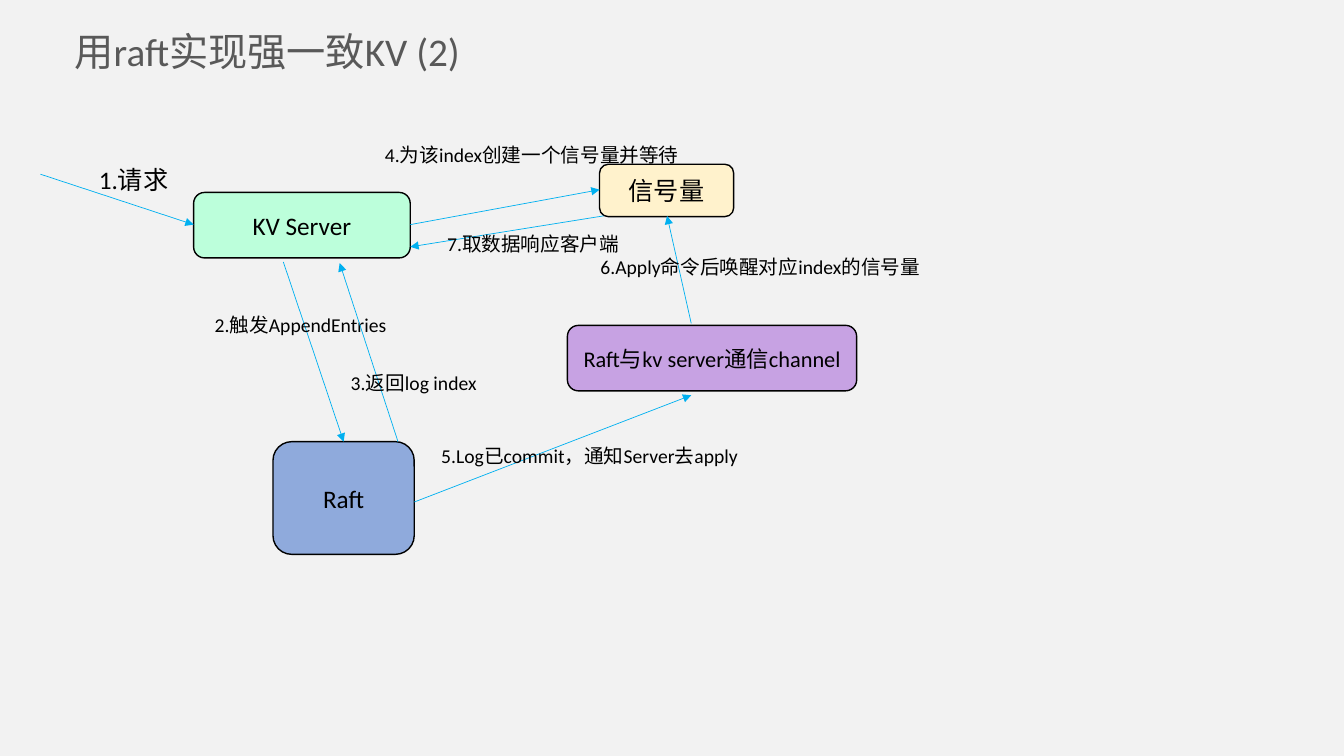
import pptx
import pptx.dml.color
import pptx.enum.shapes
import pptx.enum.text
import pptx.oxml
import pptx.oxml.ns
import pptx.util
from pptx.util import Cm

COLORS = {
    "background": "F2F2F2",
    "title": "595959",
    "text": "000000",
    "arrow": "00B0F0",
    "server": "BCFFDB",
    "raft": "8FAADC",
    "semaphore": "FFF2CC",
    "channel": "C7A2E3",
}


def rgb(name):
    return pptx.dml.color.RGBColor.from_string(COLORS[name])


class Diagram:
    """Holds the slide and the shared style of its elements."""

    def __init__(self, slide, font="Calibri"):
        self.s = slide
        self.font = font
        fill = slide.background.fill
        fill.solid()
        fill.fore_color.rgb = rgb("background")

    def set_text(self, tf, text, size, color="text"):
        tf.word_wrap = True
        p = tf.paragraphs[0]
        p.text = text
        p.font.name = self.font
        p.font.size = pptx.util.Pt(size)
        p.font.color.rgb = rgb(color)
        return p

    def label(self, x, y, w, h, text, size, color="text"):
        tf = self.s.shapes.add_textbox(Cm(x), Cm(y), Cm(w), Cm(h)).text_frame
        return self.set_text(tf, text, size, color)

    def title(self, x, y, w, h, text):
        p = self.label(x, y, w, h, text, 28, "title")
        p.line_spacing = 0.9

    def node(self, x, y, w, h, text, fill, size=18):
        kind = pptx.enum.shapes.MSO_SHAPE.ROUNDED_RECTANGLE
        sp = self.s.shapes.add_shape(kind, Cm(x), Cm(y), Cm(w), Cm(h))
        sp.shadow.inherit = False
        sp.fill.solid()
        sp.fill.fore_color.rgb = rgb(fill)
        sp.line.color.rgb = rgb("text")
        sp.line.width = pptx.util.Pt(1)
        sp.text_frame.vertical_anchor = pptx.enum.text.MSO_ANCHOR.MIDDLE
        p = self.set_text(sp.text_frame, text, size)
        p.alignment = pptx.enum.text.PP_ALIGN.CENTER

    def arrow(self, start, end):
        kind = pptx.enum.shapes.MSO_CONNECTOR.STRAIGHT
        c = self.s.shapes.add_connector(kind, *map(Cm, start + end))
        c.line.color.rgb = rgb("arrow")
        c.line.width = pptx.util.Pt(0.5)
        ns = pptx.oxml.ns.nsdecls("a")
        ln = c.get_or_add_ln()
        ln.append(pptx.oxml.parse_xml(f'<a:tailEnd {ns} type="triangle"/>'))
        ln.addnext(pptx.oxml.parse_xml(f"<a:effectLst {ns}/>"))


def main():
    prs = pptx.Presentation()
    prs.slide_width, prs.slide_height = Cm(33.87), Cm(19.05)
    d = Diagram(prs.slides.add_slide(prs.slide_layouts[6]))

    d.title(1.63, 0.69, 31.39, 1.68, "用raft实现强一致KV (2)")

    # Components
    d.node(4.88, 4.85, 5.46, 1.65, "KV Server", "server")
    d.node(6.88, 11.13, 3.56, 2.84, "Raft", "raft")
    d.node(15.11, 4.14, 3.38, 1.32, "信号量", "semaphore")
    d.node(14.3, 8.2, 7.29, 1.65, "Raft与kv server通信channel", "channel", 16)

    # Steps: arrow start, arrow end, label left, top and width, text, size
    steps = [
        ((1.02, 4.39), (4.88, 5.66), 2.24, 4.01, 2.31, "1.请求", 18),
        ((7.14, 6.6), (8.66, 11.13), 5.16, 7.77, 4.88, "2.触发AppendEntries", 14),
        ((10.03, 11.13), (8.56, 6.63), 8.59, 9.22, 3.71, "3.返回log index", 14),
        ((10.34, 5.66), (15.11, 4.78), 9.45, 3.48, 7.98,
         "4.为该index创建一个信号量并等待", 14),
        ((10.44, 12.65), (17.42, 9.96), 10.87, 11.07, 8.05,
         "5.Log已commit，通知Server去apply", 14),
        ((17.42, 8.15), (16.81, 5.44), 14.88, 6.3, 8.64,
         "6.Apply命令后唤醒对应index的信号量", 14),
        ((15.21, 5.44), (10.34, 6.22), 11.02, 5.72, 4.88, "7.取数据响应客户端", 14),
    ]
    for start, end, x, y, w, text, size in steps:
        d.arrow(start, end)
        d.label(x, y, w, 1.02 if size == 18 else 0.86, text, size)

    prs.save("out.pptx")


if __name__ == "__main__":
    main()
